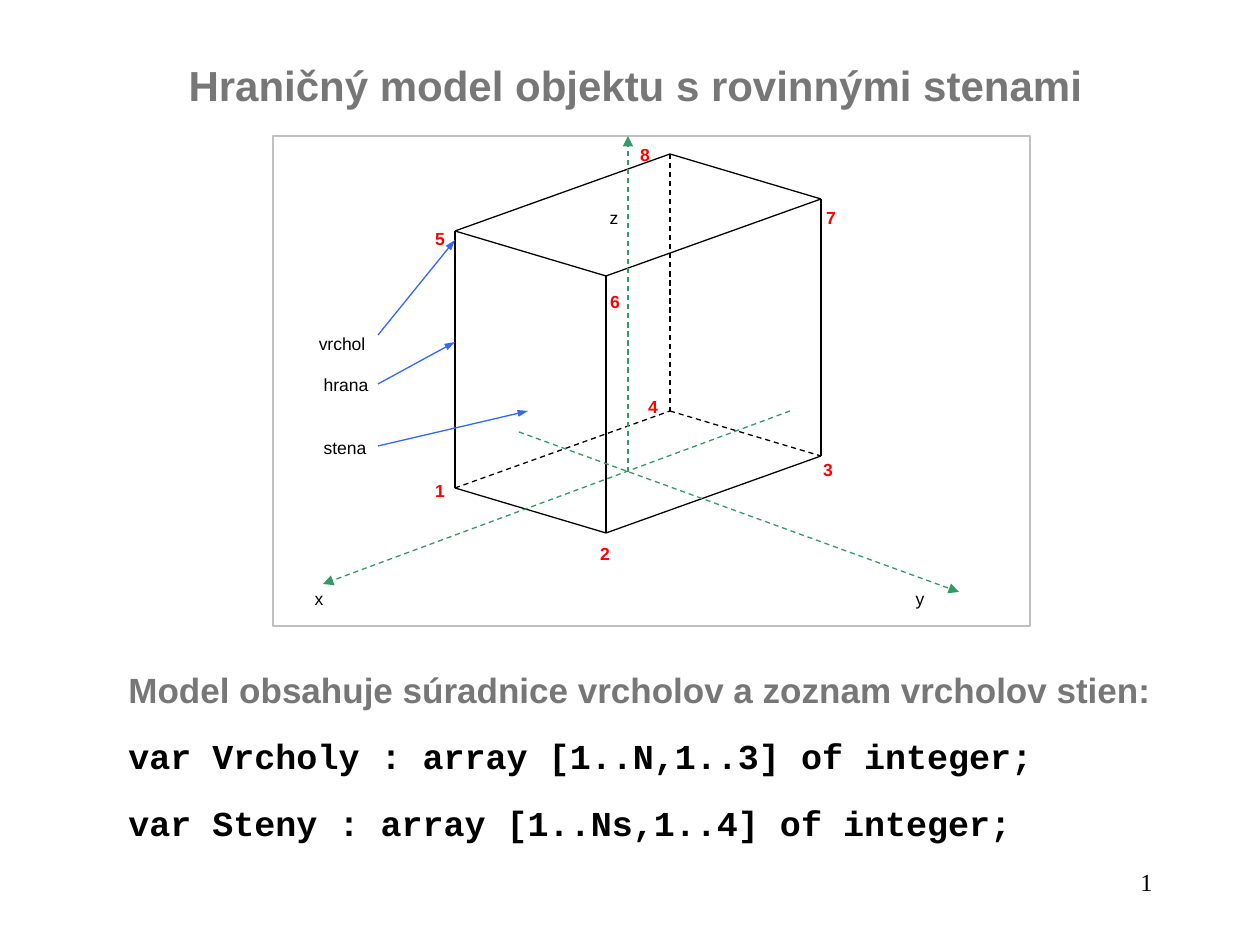
from lxml import etree
from pptx import Presentation
from pptx.dml.color import RGBColor
from pptx.enum.dml import MSO_LINE_DASH_STYLE as Dash
from pptx.enum.shapes import MSO_CONNECTOR as Connector, MSO_SHAPE as Shape
from pptx.enum.text import MSO_ANCHOR as Anchor, PP_ALIGN as Align
from pptx.oxml.ns import qn
from pptx.util import Emu, Pt

PX = 914400 / 126
COLORS = {"white": "FFFFFF", "frame": "C0C0C0", "ink": "000000", "heading": "777777",
          "number": "FF0000", "pointer": "3366FF", "axis": "339966"}

# Text formats
HEADING = {"name": "Arial", "size": Pt(24), "bold": True, "color": "heading"}
INTRO = HEADING | {"size": Pt(20)}
CODE = INTRO | {"name": "Courier New", "color": "ink"}
PAGE_NUMBER = {"name": "Times New Roman", "size": Pt(14), "color": "ink"}
NAME = {"name": "Arial", "size": Pt(10), "color": "ink"}
NUMBER = NAME | {"bold": True, "color": "number"}

# Corners of the cuboid: the top face stands HEIGHT above the bottom face
HEIGHT = 257
TOP = {5: (455, 231), 6: (606, 276), 7: (821, 199), 8: (670, 154)}
CORNERS = TOP | {n - 4: (x, y + HEIGHT) for n, (x, y) in TOP.items()}
SOLID_EDGES = [(7, 3), (6, 7), (2, 3), (6, 2), (5, 1), (1, 2), (5, 6), (8, 7), (5, 8)]
HIDDEN_EDGES = [(1, 4), (4, 3), (8, 4)]

POINTERS = [((378, 335), (455, 240)), ((378, 384), (455, 342)), ((378, 446), (528, 411))]
AXES = [((790, 411), (323, 584)), ((519, 432), (959, 592)), ((628, 472), (628, 136))]

# Label centres
NUMBERS = {"1": (440, 491), "2": (605, 554), "3": (828, 469), "4": (653, 406),
           "5": (440, 238), "6": (615, 301), "7": (831, 217), "8": (645, 154)}
NAMES = {"x": (319, 599), "y": (920, 599), "z": (614, 217),
         "vrchol": (342, 343), "hrana": (346, 385), "stena": (345, 448)}


def px(*lengths):
    return [Emu(round(length * PX)) for length in lengths]


def rgb(name):
    return RGBColor.from_string(COLORS[name])


def add_frame(page, area):
    frame = page.shapes.add_shape(Shape.RECTANGLE, *px(*area))
    frame.shadow.inherit = False
    frame.fill.solid()
    frame.fill.fore_color.rgb = rgb("white")
    frame.line.color.rgb = rgb("frame")
    frame.line.width = Pt(0.75)


def add_line(page, start, end, color="ink", dashed=False, arrow=None):
    line = page.shapes.add_connector(Connector.STRAIGHT, *px(*start, *end))
    line.line.color.rgb = rgb(color)
    line.line.width = Pt(0.75)
    if dashed:
        line.line.dash_style = Dash.DASH
    if arrow:
        etree.SubElement(line.line._get_or_add_ln(), qn("a:tailEnd"),
                         type="triangle", w=arrow, len="med")
    etree.SubElement(line._element.spPr, qn("a:effectLst"))


def add_text(page, area, lines, align, gap=0):
    """Each line is a pair of text and format."""
    box = page.shapes.add_textbox(*px(*area))
    frame = box.text_frame
    frame.word_wrap = True
    for index, (text, style) in enumerate(lines):
        para = frame.add_paragraph() if index else frame.paragraphs[0]
        para.alignment = align
        if index and gap:
            para.space_before = Pt(gap)
        span = para.add_run()
        span.text = text
        for key, value in style.items():
            if key == "color":
                span.font.color.rgb = rgb(value)
            else:
                setattr(span.font, key, value)
    return frame


def add_label(page, text, centre, style):
    width, height = 70, 21
    x, y = centre
    area = (x - width / 2, y - height / 2, width, height)
    frame = add_text(page, area, [(text, style)], Align.CENTER)
    frame.vertical_anchor = Anchor.MIDDLE
    for side in ("left", "top", "right", "bottom"):
        setattr(frame, f"margin_{side}", 0)


def add_diagram(page):
    add_frame(page, (273, 136, 757, 490))
    for text, centre in NUMBERS.items():
        add_label(page, text, centre, NUMBER)
    for text, centre in NAMES.items():
        add_label(page, text, centre, NAME)
    for edges, dashed in ((SOLID_EDGES, False), (HIDDEN_EDGES, True)):
        for first, last in edges:
            add_line(page, CORNERS[first], CORNERS[last], dashed=dashed)
    # Point on the lower border
    add_line(page, (606, 626), (606, 626))
    for start, end in POINTERS:
        add_line(page, start, end, "pointer", arrow="sm")
    for start, end in AXES:
        add_line(page, start, end, "axis", dashed=True, arrow="med")


def main():
    deck = Presentation()
    deck.slide_width, deck.slide_height = px(1260, 945)
    page = deck.slides.add_slide(deck.slide_layouts[6])

    add_diagram(page)
    add_text(page, (105, 53, 1061, 63),
             [("Hraničný model objektu s rovinnými stenami", HEADING)], Align.CENTER)
    add_text(page, (116, 662, 1071, 183), [
        ("Model obsahuje súradnice vrcholov a zoznam vrcholov stien:", INTRO),
        ("var Vrcholy : array [1..N,1..3] of integer;", CODE),
        ("var Steny : array [1..Ns,1..4] of integer;", CODE),
    ], Align.JUSTIFY, gap=14)
    add_text(page, (903, 861, 262, 63), [("1", PAGE_NUMBER)], Align.RIGHT)

    deck.save("out.pptx")


if __name__ == "__main__":
    main()
